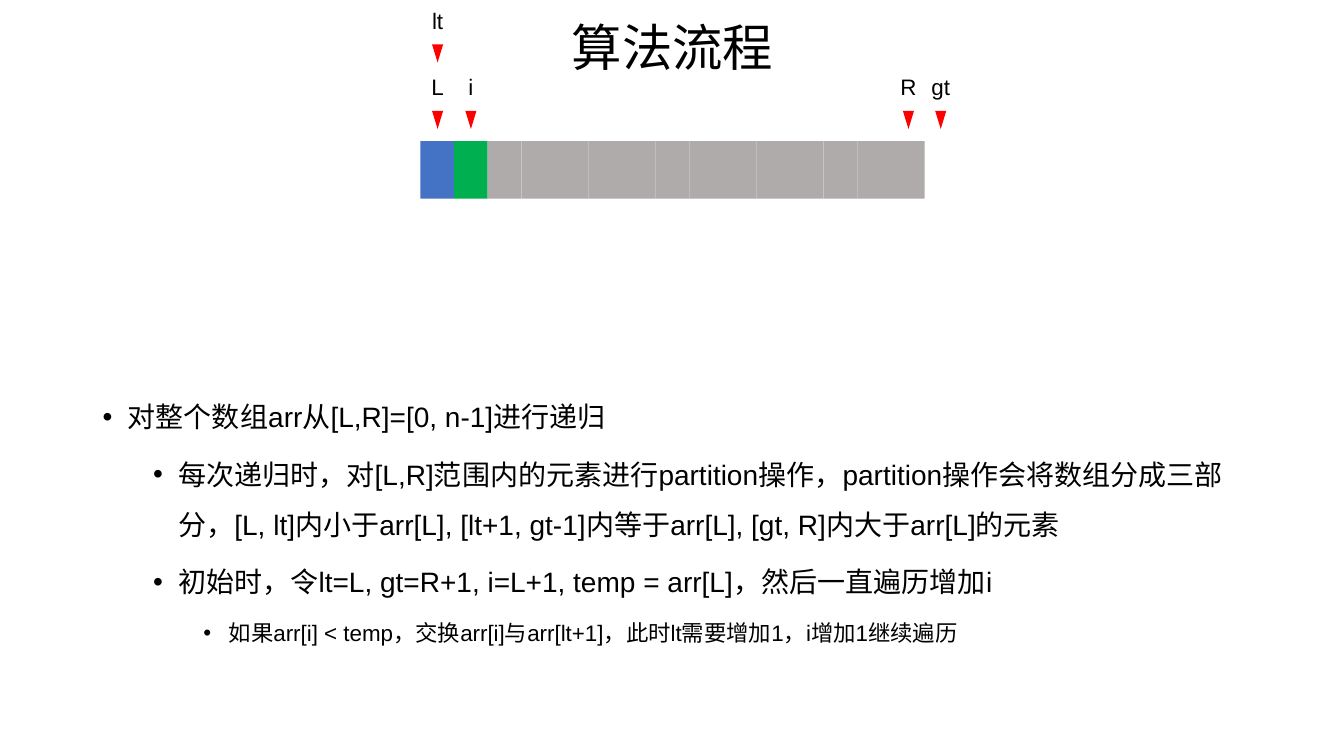
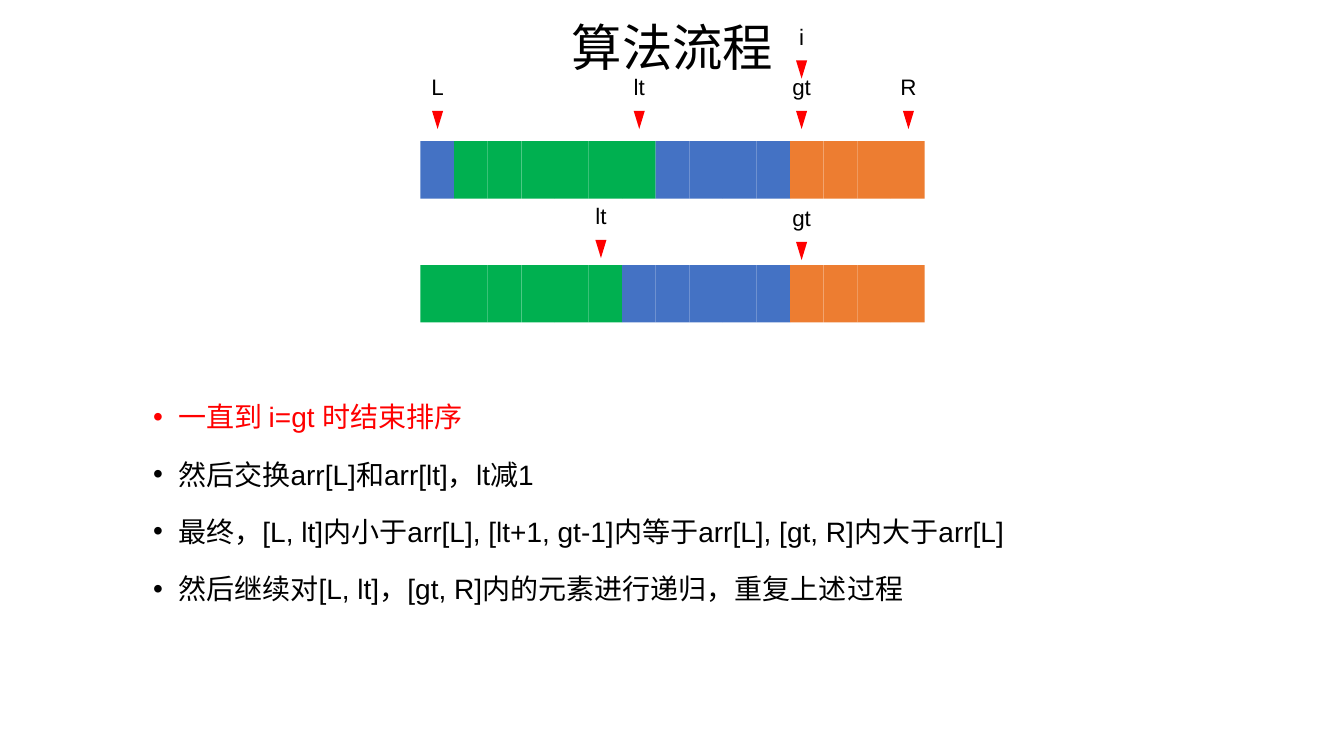
import pptx
import pptx.util
import pptx.dml.color
import pptx.enum.shapes
import pptx.enum.text
import lxml.etree
from pptx.util import Inches

RGBColor = pptx.dml.color.RGBColor
BLACK = RGBColor(0x00, 0x00, 0x00)
RED = RGBColor(0xFF, 0x00, 0x00)
EQUAL_BLUE = RGBColor(0x44, 0x72, 0xC4)
LESS_GREEN = RGBColor(0x00, 0xB0, 0x50)
GREATER_ORANGE = RGBColor(0xED, 0x7D, 0x31)
UNSEEN_GRAY = RGBColor(0xAF, 0xAB, 0xAB)

TITLE = "算法流程"
TITLE_BOX = (0.92, 0.02, 11.5, 0.76)
BODY_BOX = (0.92, 3.75, 11.5, 3.75)
ARRAY_LEFT, CELL_HEIGHT = 4.17, 0.57
CELL_WIDTH = 1 / 3
LABEL_WIDTH, LABEL_HEIGHT = 0.65, 0.37
POINTER_WIDTH, POINTER_HEIGHT, POINTER_DROP = 0.11, 0.18, 0.42
LEVEL_SIZES = (20, 20, 16)
LEVEL_SPACES = (10, 5, 5)

SLIDES = [
    {
        "bullets": [
            (0, "对整个数组arr从[L,R]=[0, n-1]进行递归", BLACK),
            (1, "每次递归时，对[L,R]范围内的元素进行partition操作，partition操作会将数组分成三部分，"
                "[L, lt]内小于arr[L], [lt+1, gt-1]内等于arr[L], [gt, R]内大于arr[L]的元素", BLACK),
            (1, "初始时，令lt=L, gt=R+1, i=L+1, temp = arr[L]，然后一直遍历增加i", BLACK),
            (2, "如果arr[i] < temp，交换arr[i]与arr[lt+1]，此时lt需要增加1，i增加1继续遍历", BLACK),
        ],
        "arrays": [
            {
                "top": 1.4,
                "runs": [(1, EQUAL_BLUE), (1, LESS_GREEN), (13, UNSEEN_GRAY)],
                "markers": [("lt", 4.34, 0.02), ("gt", 9.33, 0.68), ("i", 4.67, 0.68),
                            ("L", 4.34, 0.68), ("R", 9.01, 0.68)],
            },
        ],
    },
    {
        "bullets": [
            (1, "一直到 i=gt 时结束排序", RED),
            (1, "然后交换arr[L]和arr[lt]，lt减1", BLACK),
            (1, "最终，[L, lt]内小于arr[L], [lt+1, gt-1]内等于arr[L], [gt, R]内大于arr[L]", BLACK),
            (1, "然后继续对[L, lt]，[gt, R]内的元素进行递归，重复上述过程", BLACK),
        ],
        "arrays": [
            {
                "top": 1.4,
                "runs": [(1, EQUAL_BLUE), (6, LESS_GREEN), (4, EQUAL_BLUE), (4, GREATER_ORANGE)],
                "markers": [("lt", 6.34, 0.68), ("gt", 7.95, 0.68), ("L", 4.34, 0.68),
                            ("R", 9.01, 0.68), ("i", 7.95, 0.18)],
            },
            {
                "top": 2.63,
                "runs": [(6, LESS_GREEN), (5, EQUAL_BLUE), (4, GREATER_ORANGE)],
                "markers": [("lt", 5.96, 1.96), ("gt", 7.95, 1.98)],
            },
        ],
    },
]


def apply_format(target, values):
    for name, value in values.items():
        setattr(target, name, value)


def add_box(shapes, bounds, frame_format):
    box = shapes.add_textbox(*map(Inches, bounds))
    apply_format(box.text_frame, {"word_wrap": True, **frame_format})
    return box.text_frame


def write(para, text, size, color, para_format):
    apply_format(para, para_format)
    span = para.add_run()
    apply_format(span, {"text": text})
    apply_format(span.font, {"name": "Arial", "size": pptx.util.Pt(size)})
    span.font.color.rgb = color


def add_solid(shapes, kind, bounds, color, rotation=0):
    shape = shapes.add_shape(kind, *map(Inches, bounds))
    shape.fill.solid()
    shape.fill.fore_color.rgb = color
    shape.line.fill.background()
    shape.shadow.inherit = False
    shape.rotation = rotation


def add_title(page):
    frame = add_box(page.shapes, TITLE_BOX,
                    {"vertical_anchor": pptx.enum.text.MSO_ANCHOR.MIDDLE})
    write(frame.paragraphs[0], TITLE, 36, BLACK,
          {"alignment": pptx.enum.text.PP_ALIGN.CENTER, "line_spacing": 1.2})


def add_bullets(page, bullets):
    frame = add_box(page.shapes, BODY_BOX, {})
    for index, (level, text, color) in enumerate(bullets):
        para = frame.add_paragraph() if index else frame.paragraphs[0]
        write(para, text, LEVEL_SIZES[level], color,
              {"level": level, "line_spacing": 1.5,
               "space_before": pptx.util.Pt(LEVEL_SPACES[level])})
        properties = para._p.get_or_add_pPr()
        properties.set("marL", str(Inches(0.25 + 0.5 * level)))
        properties.set("indent", str(Inches(-0.25)))
        for tag, key, value in (("a:buFont", "typeface", "Arial"), ("a:buChar", "char", "•")):
            bullet = lxml.etree.SubElement(properties, pptx.oxml.ns.qn(tag))
            bullet.set(key, value)


def add_marker(page, text, center, top):
    marker = page.shapes.add_group_shape()
    frame = add_box(marker.shapes, (center - LABEL_WIDTH / 2, top, LABEL_WIDTH, LABEL_HEIGHT),
                    {"auto_size": pptx.enum.text.MSO_AUTO_SIZE.SHAPE_TO_FIT_TEXT})
    write(frame.paragraphs[0], text, 16, BLACK,
          {"alignment": pptx.enum.text.PP_ALIGN.CENTER})
    add_solid(marker.shapes, pptx.enum.shapes.MSO_SHAPE.ISOSCELES_TRIANGLE,
              (center - POINTER_WIDTH / 2, top + POINTER_DROP, POINTER_WIDTH, POINTER_HEIGHT),
              RED, 180)


def add_array(page, array):
    colors = [color for count, color in array["runs"] for _ in range(count)]
    for index, color in enumerate(colors):
        add_solid(page.shapes, pptx.enum.shapes.MSO_SHAPE.RECTANGLE,
                  (ARRAY_LEFT + index * CELL_WIDTH, array["top"], CELL_WIDTH, CELL_HEIGHT), color)
    for marker in array["markers"]:
        add_marker(page, *marker)


def main():
    deck = pptx.Presentation()
    apply_format(deck, {"slide_width": Inches(13.33), "slide_height": Inches(7.5)})
    for content in SLIDES:
        page = deck.slides.add_slide(deck.slide_layouts[6])
        add_bullets(page, content["bullets"])
        add_title(page)
        for array in content["arrays"]:
            add_array(page, array)
    deck.save("out.pptx")


if __name__ == "__main__":
    main()
